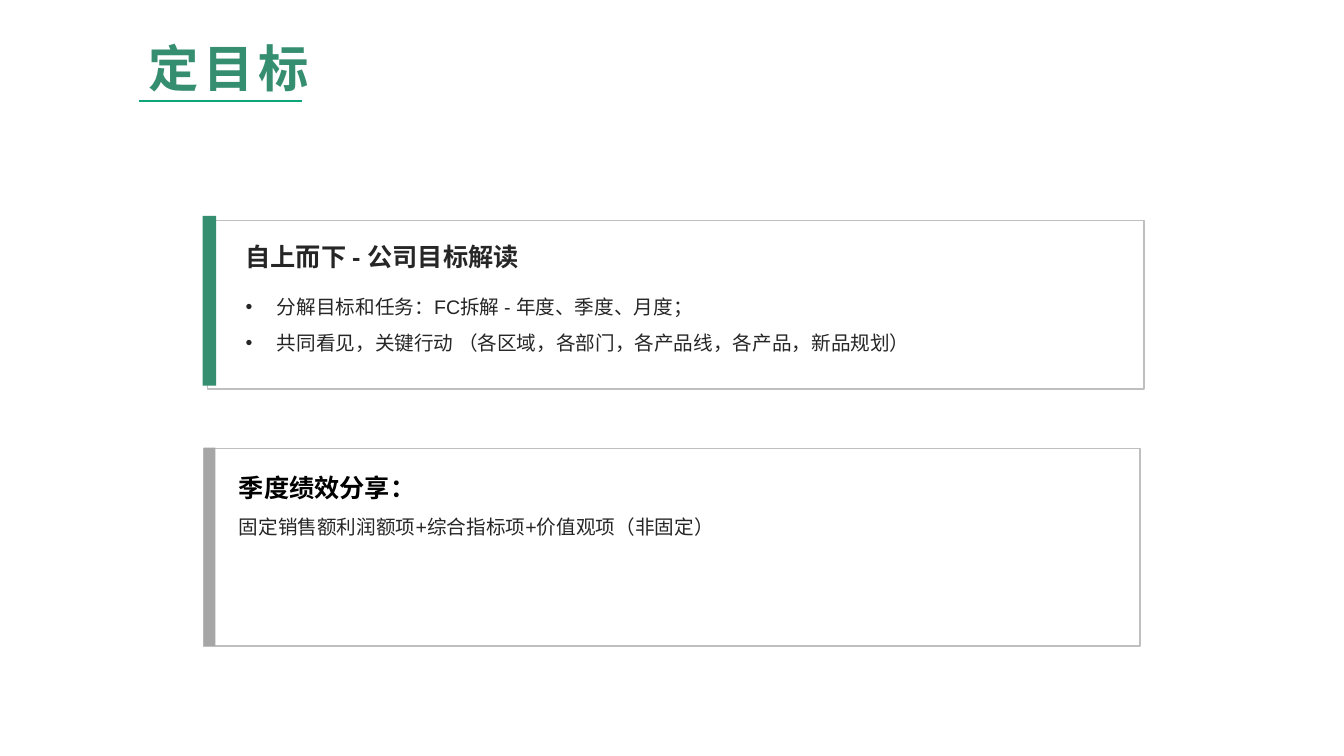
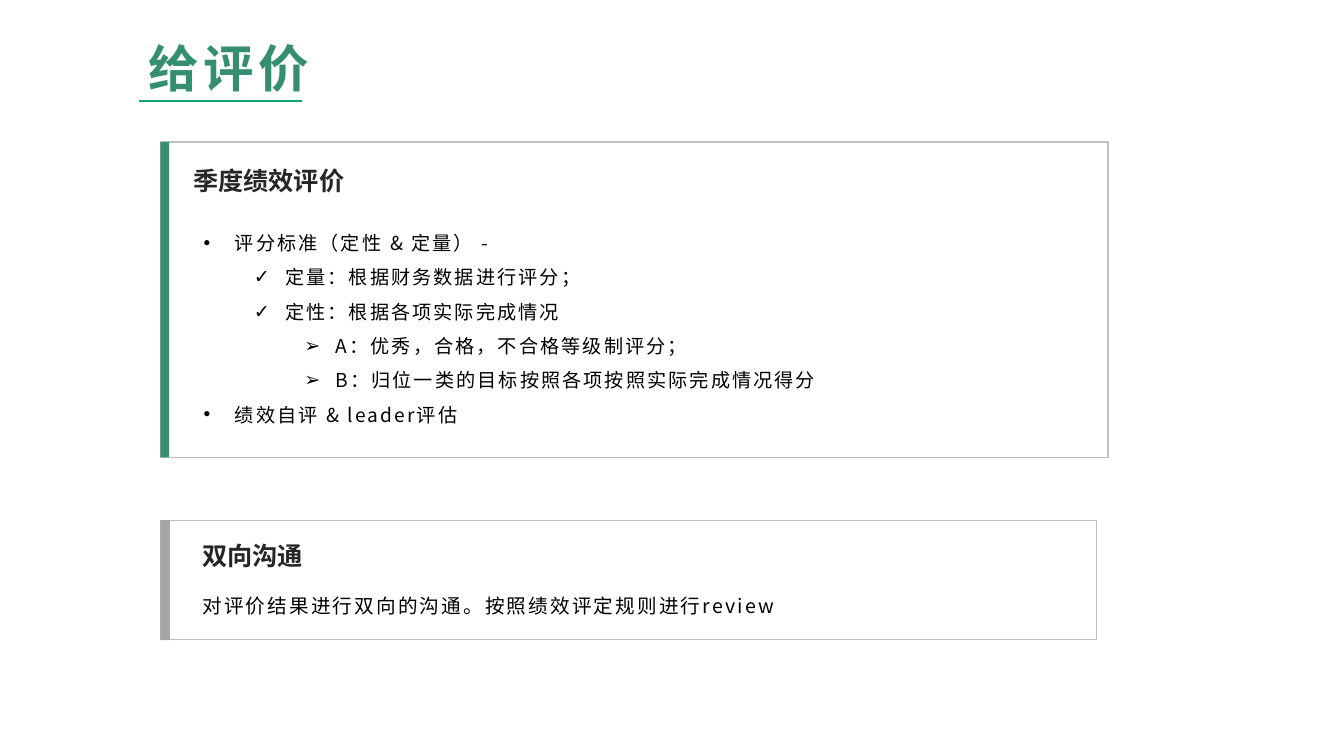
from lxml.etree import SubElement
from pptx import Presentation
from pptx.dml.color import RGBColor
from pptx.enum.shapes import MSO_CONNECTOR, MSO_SHAPE
from pptx.enum.text import MSO_ANCHOR, MSO_AUTO_SIZE, PP_ALIGN
from pptx.oxml.ns import qn
from pptx.util import Cm, Pt

COLORS = {
    "green": "368E71",
    "rule": "0CA678",
    "grey": "A6A6A6",
    "border": "BFBFBF",
    "white": "FFFFFF",
    "dark": "262626",
    "black": "000000",
}
CJK_FONT = "Noto Sans CJK SC"
TITLE_BOX = (3.5, 0.33, 4.62, 2.26)
TITLE_RULE = (3.5, 2.54, 7.6, 2.54)
BULLET_HANG = 0.79
LEVEL_STEP = 1.27

# size, line (spacing) and tracking are in points
STYLES = {
    "title": {"size": 36, "font": CJK_FONT, "color": "green", "bold": True, "line": 57, "tracking": 3},
    "heading": {"size": 18, "font": "Arial", "color": "dark", "bold": True},
    "lead": {"size": 18, "font": CJK_FONT, "color": "black", "bold": True, "line": 32.5},
    "body": {"size": 14, "font": "Arial", "color": "dark", "line": 25.7},
    "criteria": {"size": 13.7, "font": CJK_FONT, "color": "black", "line": 24.5, "tracking": 1.5},
    "note": {"size": 14, "font": CJK_FONT, "color": "black", "line": 20, "tracking": 1.5},
}

# Boxes are left, top, width, height in cm; a paragraph is style, text[, bullet, level]
SLIDES = [
    {
        "title": "定目标",
        "cards": [
            {
                "frame": (5.23, 5.56, 23.6, 4.24),
                "bar": (5.11, 5.44, 0.34, 4.28),
                "bar_color": "green",
                "texts": [
                    ((5.94, 5.94, 21.97, 1.02), MSO_ANCHOR.MIDDLE, [
                        ("heading", "自上而下 - 公司目标解读"),
                    ]),
                    ((5.94, 6.73, 21.97, 2.59), MSO_ANCHOR.MIDDLE, [
                        ("body", "分解目标和任务：FC拆解 - 年度、季度、月度；", "•", 0),
                        ("body", "共同看见，关键行动 （各区域，各部门，各产品线，各产品，新品规划）", "•", 0),
                    ]),
                ],
            },
            {
                "frame": (5.13, 11.3, 23.6, 4.98),
                "bar": (5.13, 11.28, 0.3, 5),
                "bar_color": "grey",
                "texts": [
                    ((5.77, 11.38, 21.62, 2.21), MSO_ANCHOR.TOP, [
                        ("lead", "季度绩效分享："),
                        ("body", "固定销售额利润额项+综合指标项+价值观项（非固定）"),
                    ]),
                ],
            },
        ],
    },
    {
        "title": "给评价",
        "cards": [
            {
                "frame": (4.04, 3.58, 23.88, 7.95),
                "bar": (4.04, 3.58, 0.22, 7.95),
                "bar_color": "green",
                "texts": [
                    ((4.62, 3.96, 22.45, 1.19), MSO_ANCHOR.MIDDLE, [
                        ("heading", "季度绩效评价"),
                    ]),
                    ((4.88, 5.36, 22.66, 5.56), MSO_ANCHOR.MIDDLE, [
                        ("criteria", "评分标准（定性 & 定量） -", "•", 0),
                        ("criteria", "定量：根据财务数据进行评分；", "✓", 1),
                        ("criteria", "定性：根据各项实际完成情况", "✓", 1),
                        ("criteria", "A：优秀，合格，不合格等级制评分；", "➢", 2),
                        ("criteria", "B：归位一类的目标按照各项按照实际完成情况得分", "➢", 2),
                        ("criteria", "绩效自评 & leader评估", "•", 0),
                    ]),
                ],
            },
            {
                "frame": (4.04, 13.11, 23.6, 3),
                "bar": (4.04, 13.11, 0.24, 3.02),
                "bar_color": "grey",
                "texts": [
                    ((4.85, 13.49, 21.97, 1.02), MSO_ANCHOR.MIDDLE, [
                        ("heading", "双向沟通"),
                    ]),
                    ((4.85, 14.3, 21.97, 1.8), MSO_ANCHOR.MIDDLE, [
                        ("note", "对评价结果进行双向的沟通。按照绩效评定规则进行review"),
                    ]),
                ],
            },
        ],
    },
]


def lengths(values):
    return [Cm(value) for value in values]


def color(name):
    return RGBColor.from_string(COLORS[name])


def set_attributes(target, values):
    for name, value in values.items():
        setattr(target, name, value)


def write_paragraph(paragraph, style_name, text, bullet=None, level=0):
    style = STYLES[style_name]
    set_attributes(paragraph, {
        "alignment": PP_ALIGN.LEFT,
        "level": level,
        "space_before": Pt(0),
        "line_spacing": Pt(style["line"]) if "line" in style else 1.0,
    })
    if bullet:
        properties = paragraph._p.get_or_add_pPr()
        properties.set("marL", str(Cm(BULLET_HANG + level * LEVEL_STEP)))
        properties.set("indent", str(-Cm(BULLET_HANG)))
        SubElement(properties, qn("a:buFont"), typeface="Arial")
        SubElement(properties, qn("a:buChar"), char=bullet)
    run = paragraph.add_run()
    run.text = text
    set_attributes(run.font, {
        "size": Pt(style["size"]),
        "name": style["font"],
        "bold": style.get("bold", False),
    })
    run.font.color.rgb = color(style["color"])
    run_properties = run._r.get_or_add_rPr()
    run_properties.set("spc", str(int(style.get("tracking", 0) * 100)))
    SubElement(run_properties, qn("a:ea"), typeface=CJK_FONT)


def write_text(frame, paragraphs, anchor, wrap=True):
    set_attributes(frame, {
        "word_wrap": wrap,
        "vertical_anchor": anchor,
        "auto_size": MSO_AUTO_SIZE.NONE,
    })
    for index, content in enumerate(paragraphs):
        paragraph = frame.add_paragraph() if index else frame.paragraphs[0]
        write_paragraph(paragraph, *content)


def add_title(slide, text):
    """Fill the title placeholder and underline it."""
    title = slide.shapes.title
    set_attributes(title, dict(zip(("left", "top", "width", "height"), lengths(TITLE_BOX))))
    write_text(title.text_frame, [("title", text)], MSO_ANCHOR.TOP, wrap=False)
    rule = slide.shapes.add_connector(MSO_CONNECTOR.STRAIGHT, *lengths(TITLE_RULE))
    rule.line.color.rgb = color("rule")
    rule.line.width = Pt(1.5)
    SubElement(rule._element.spPr, qn("a:effectLst"))


def add_rectangle(slide, box, fill, border=None):
    shape = slide.shapes.add_shape(MSO_SHAPE.RECTANGLE, *lengths(box))
    shape.shadow.inherit = False
    shape.fill.solid()
    shape.fill.fore_color.rgb = color(fill)
    if border:
        shape.line.color.rgb = color(border)
        shape.line.width = Pt(1)
    else:
        shape.line.fill.background()


def add_card(slide, card):
    add_rectangle(slide, card["frame"], "white", "border")
    add_rectangle(slide, card["bar"], card["bar_color"])
    for box, anchor, paragraphs in card["texts"]:
        text_box = slide.shapes.add_textbox(*lengths(box))
        write_text(text_box.text_frame, paragraphs, anchor)


def main():
    presentation = Presentation()
    presentation.slide_width = Cm(33.87)
    presentation.slide_height = Cm(19.05)
    title_only = presentation.slide_layouts.get_by_name("Title Only")
    for content in SLIDES:
        slide = presentation.slides.add_slide(title_only)
        add_title(slide, content["title"])
        for card in content["cards"]:
            add_card(slide, card)
    presentation.save("out.pptx")


if __name__ == "__main__":
    main()
